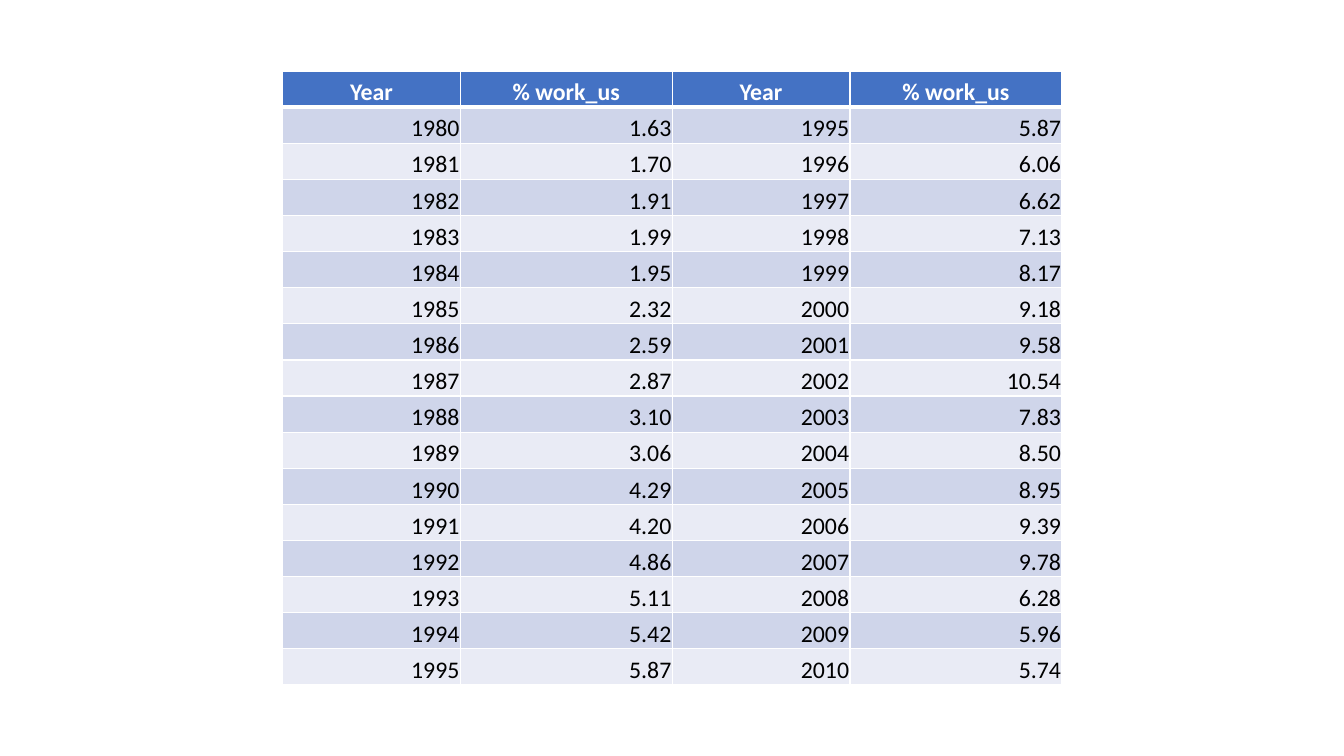
from lxml import etree
from pptx import Presentation
from pptx.dml.color import RGBColor
from pptx.enum.text import MSO_ANCHOR, PP_ALIGN
from pptx.oxml.ns import qn
from pptx.util import Cm, Pt

BOTTOM = MSO_ANCHOR.BOTTOM
CENTER = PP_ALIGN.CENTER
RIGHT = PP_ALIGN.RIGHT

HEADER_FILL = "4472C4"
BAND_FILLS = ["E9EBF5", "CFD5EA"]
WHITE = "FFFFFF"
BLACK = "000000"


def color(hex_string):
    return RGBColor.from_string(hex_string)


def add_border(cell, side, width):
    line = etree.SubElement(cell._tc.get_or_add_tcPr(), qn(f"a:ln{side}"), w=str(Pt(width)))
    fill = etree.SubElement(line, qn("a:solidFill"))
    etree.SubElement(fill, qn("a:srgbClr"), val=WHITE)


# Yearly shares for the two halves of the table
shares_from_1980 = ["1.63", "1.70", "1.91", "1.99", "1.95", "2.32", "2.59", "2.87",
                    "3.10", "3.06", "4.29", "4.20", "4.86", "5.11", "5.42", "5.87"]
shares_from_1995 = ["5.87", "6.06", "6.62", "7.13", "8.17", "9.18", "9.58", "10.54",
                    "7.83", "8.50", "8.95", "9.39", "9.78", "6.28", "5.96", "5.74"]
rows = [["Year", "% work_us"] * 2]
for offset, (early, late) in enumerate(zip(shares_from_1980, shares_from_1995)):
    rows.append([str(1980 + offset), early, str(1995 + offset), late])

# Slide
presentation = Presentation()
presentation.slide_width = Cm(33.87)
presentation.slide_height = Cm(19.05)
slide = presentation.slides.add_slide(presentation.slide_layouts[6])

# Table grid
column_widths = [4.48, 5.34] * 2
row_height = 0.91
table = slide.shapes.add_table(
    len(rows), len(column_widths), Cm(7.12), Cm(1.79),
    Cm(sum(column_widths)), Cm(row_height * len(rows))).table
for column, width in zip(table.columns, column_widths):
    column.width = Cm(width)
for row in table.rows:
    row.height = Cm(row_height)

# Cells
for row_index, values in enumerate(rows):
    is_header = row_index == 0
    for column_index, value in enumerate(values):
        cell = table.cell(row_index, column_index)
        cell.margin_left = cell.margin_right = cell.margin_top = Cm(0.02)
        cell.margin_bottom = Cm(0)
        cell.vertical_anchor = BOTTOM

        # A thicker line separates the header from the body
        add_border(cell, "L", 1)
        add_border(cell, "R", 1)
        add_border(cell, "T", 3 if row_index == 1 else 1)
        add_border(cell, "B", 3 if is_header else 1)
        cell.fill.solid()
        cell.fill.fore_color.rgb = color(HEADER_FILL if is_header else BAND_FILLS[row_index % 2])

        cell.text_frame.text = value
        paragraph = cell.text_frame.paragraphs[0]
        paragraph.alignment = CENTER if is_header else RIGHT
        font = paragraph.runs[0].font
        font.name = "Calibri"
        font.size = Pt(17)
        font.bold = is_header
        font.color.rgb = color(WHITE if is_header else BLACK)

presentation.save("out.pptx")
